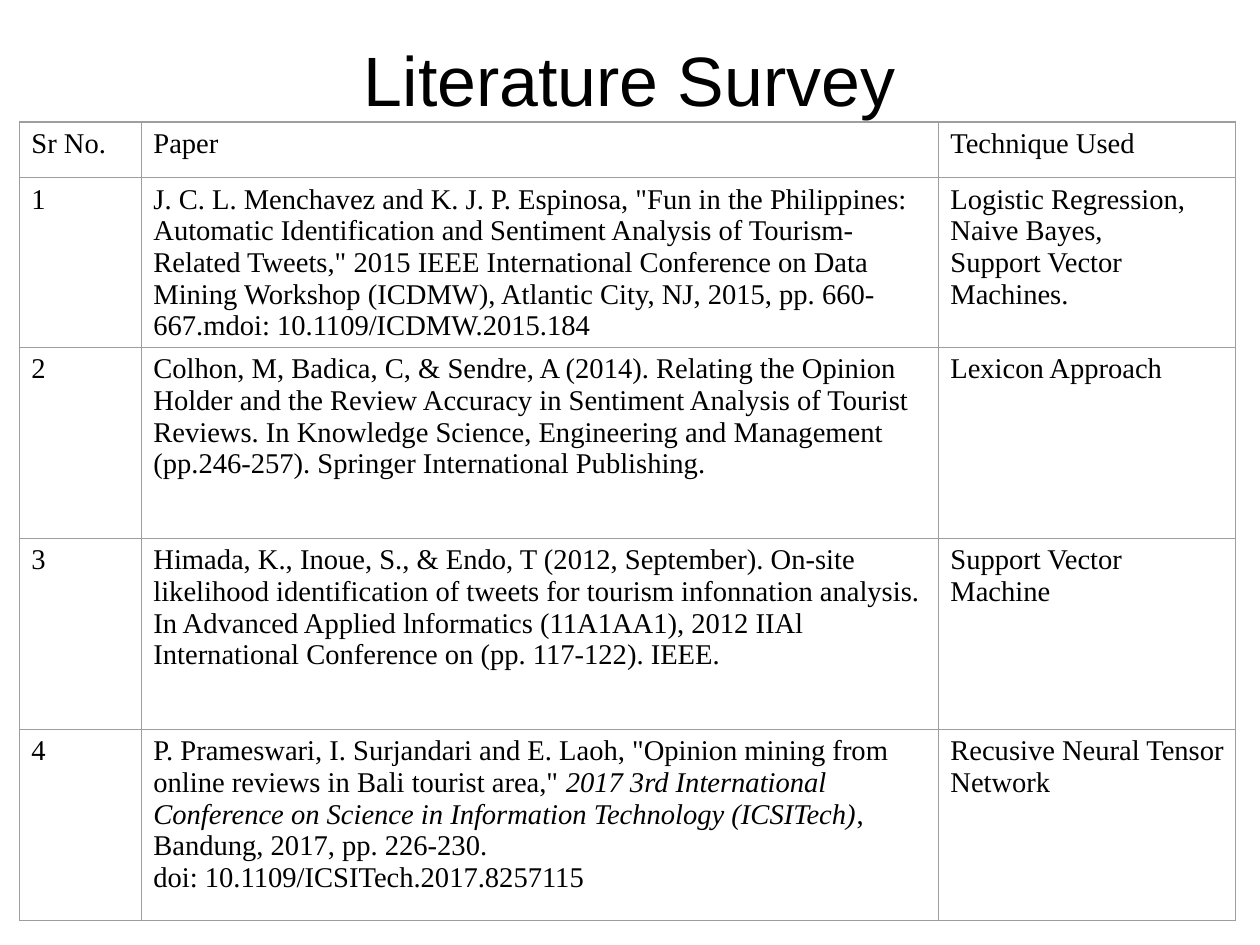
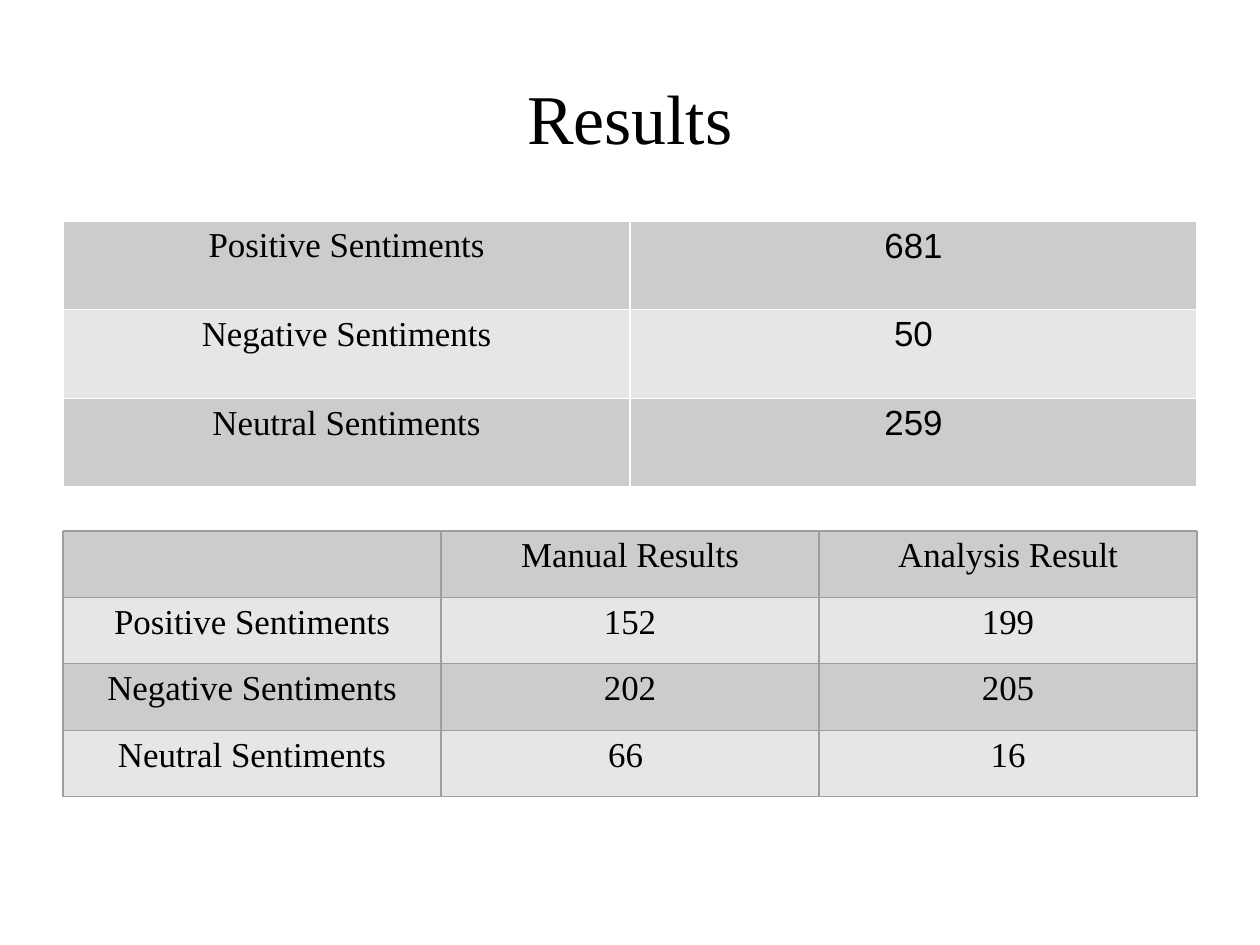
import pptx
import pptx.util
import pptx.dml.color
import pptx.enum.text
import pptx.oxml
import pptx.oxml.ns

SCALE = 8000
BLACK, WHITE, GREY = "000000", "FFFFFF", "9E9E9E"
BANDS = ("CCCCCC", "E6E6E6")
SANS, SERIF = "Arial", "Times New Roman"
LEFT = pptx.enum.text.PP_ALIGN.LEFT
MID = pptx.enum.text.PP_ALIGN.CENTER

PAPERS = [
    ["Sr No.", "Paper", "Technique Used"],
    ["1",
     'J. C. L. Menchavez and K. J. P. Espinosa, "Fun in the Philippines: '
     'Automatic Identification and Sentiment Analysis of Tourism-Related '
     'Tweets," 2015 IEEE International Conference on Data Mining Workshop '
     '(ICDMW), Atlantic City, NJ, 2015, pp. 660-667.mdoi: '
     '10.1109/ICDMW.2015.184',
     "Logistic Regression, Naive Bayes,\nSupport Vector\nMachines."],
    ["2",
     "Colhon, M, Badica, C, & Sendre, A (2014). Relating the Opinion Holder "
     "and the Review Accuracy in Sentiment Analysis of Tourist Reviews. In "
     "Knowledge Science, Engineering and Management (pp.246-257). Springer "
     "International Publishing.",
     "Lexicon Approach"],
    ["3",
     "Himada, K., Inoue, S., & Endo, T (2012, September). On-site likelihood "
     "identification of tweets for tourism infonnation analysis. In Advanced "
     "Applied lnformatics (11A1AA1), 2012 IIAl International Conference on "
     "(pp. 117-122). IEEE.",
     "Support Vector Machine"],
    ["4",
     'P. Prameswari, I. Surjandari and E. Laoh, "Opinion mining from online '
     'reviews in Bali tourist area," *2017 3rd International Conference on '
     'Science in Information Technology (ICSITech)*, Bandung, 2017, pp. '
     '226-230.\ndoi: 10.1109/ICSITech.2017.8257115',
     "Recusive Neural Tensor Network"],
]
COUNTS = [
    ["Positive Sentiments", "681"],
    ["Negative Sentiments", "50"],
    ["Neutral Sentiments", "259"],
]
CHECKS = [
    ["", "Manual Results", "Analysis Result"],
    ["Positive Sentiments", "152", "199"],
    ["Negative Sentiments", "202", "205"],
    ["Neutral Sentiments", "66 ", "16"],
]


def px(num):
    """Turn px into EMU."""
    return pptx.util.Emu(round(num * SCALE))


def color(code):
    """Turn a hex string into a colour."""
    return pptx.dml.color.RGBColor.from_string(code)


def write(frame, text, size, face, align):
    """Fill a frame: a newline starts a paragraph, stars enclose italics."""
    for i, line in enumerate(text.split("\n")):
        para = frame.paragraphs[0] if i == 0 else frame.add_paragraph()
        para.alignment = align
        for j, part in enumerate(line.split("*")):
            run = para.add_run()
            run.text = part
            run.font.size = pptx.util.Pt(size)
            run.font.name = face
            run.font.italic = j % 2 == 1
            run.font.color.rgb = color(BLACK)


def title(slide, text, top, face):
    """Place the title placeholder at the given top."""
    shape = slide.shapes.title
    shape.left, shape.top = px(63), px(top)
    shape.width, shape.height = px(1134), px(158)
    frame = shape.text_frame
    frame.margin_left = frame.margin_right = 0
    frame.margin_top = frame.margin_bottom = 0
    frame.word_wrap = True
    frame.auto_size = pptx.enum.text.MSO_AUTO_SIZE.NONE
    frame.vertical_anchor = pptx.enum.text.MSO_ANCHOR.MIDDLE
    write(frame, text, 44, face, MID)


def border(cell, code):
    """Draw a thin line on all four sides of a cell."""
    props = cell._tc.get_or_add_tcPr()
    for side in "LRTB":
        props.append(pptx.oxml.parse_xml(
            f'<a:ln{side} {pptx.oxml.ns.nsdecls("a")} w="9525"><a:solidFill>'
            f'<a:srgbClr val="{code}"/></a:solidFill></a:ln{side}>'))


def table(slide, box, rows, faces, size, align, fills, line,
          wide=None, tall=None):
    """Place a table in a box, with equal columns and rows by default."""
    count, span = len(rows), len(rows[0])
    grid = slide.shapes.add_table(count, span, *map(px, box)).table
    grid.first_row = grid.horz_banding = False
    for col, width in zip(grid.columns, wide or [box[2] / span] * span):
        col.width = px(width)
    for row, height in zip(grid.rows, tall or [box[3] / count] * count):
        row.height = px(height)
    for i, texts in enumerate(rows):
        for j, text in enumerate(texts):
            cell = grid.cell(i, j)
            border(cell, line)
            cell.fill.solid()
            cell.fill.fore_color.rgb = color(fills[i % len(fills)])
            if text:
                write(cell.text_frame, text, size, faces[j], align)


def survey(slide):
    """Build the slide that lists the papers."""
    title(slide, "Literature Survey", 0, SANS)
    table(slide, (20, 122, 1216, 786), PAPERS, [SERIF] * 3, 18, LEFT,
          [WHITE], GREY, [122, 797, 297], [56, 157, 191, 191, 191])


def results(slide):
    """Build the slide with the two result tables."""
    title(slide, "Results", 38, SERIF)
    table(slide, (63, 221, 1134, 266), COUNTS, [SERIF, SANS], 22, MID,
          BANDS, WHITE)
    table(slide, (63, 531, 1134, 266), CHECKS, [SERIF] * 3, 22, MID,
          BANDS, GREY)


def main():
    """Build and save the deck."""
    deck = pptx.Presentation()
    deck.slide_width, deck.slide_height = px(1260), px(945)
    for build in (survey, results):
        build(deck.slides.add_slide(deck.slide_layouts[5]))
    deck.save("out.pptx")


if __name__ == "__main__":
    main()
